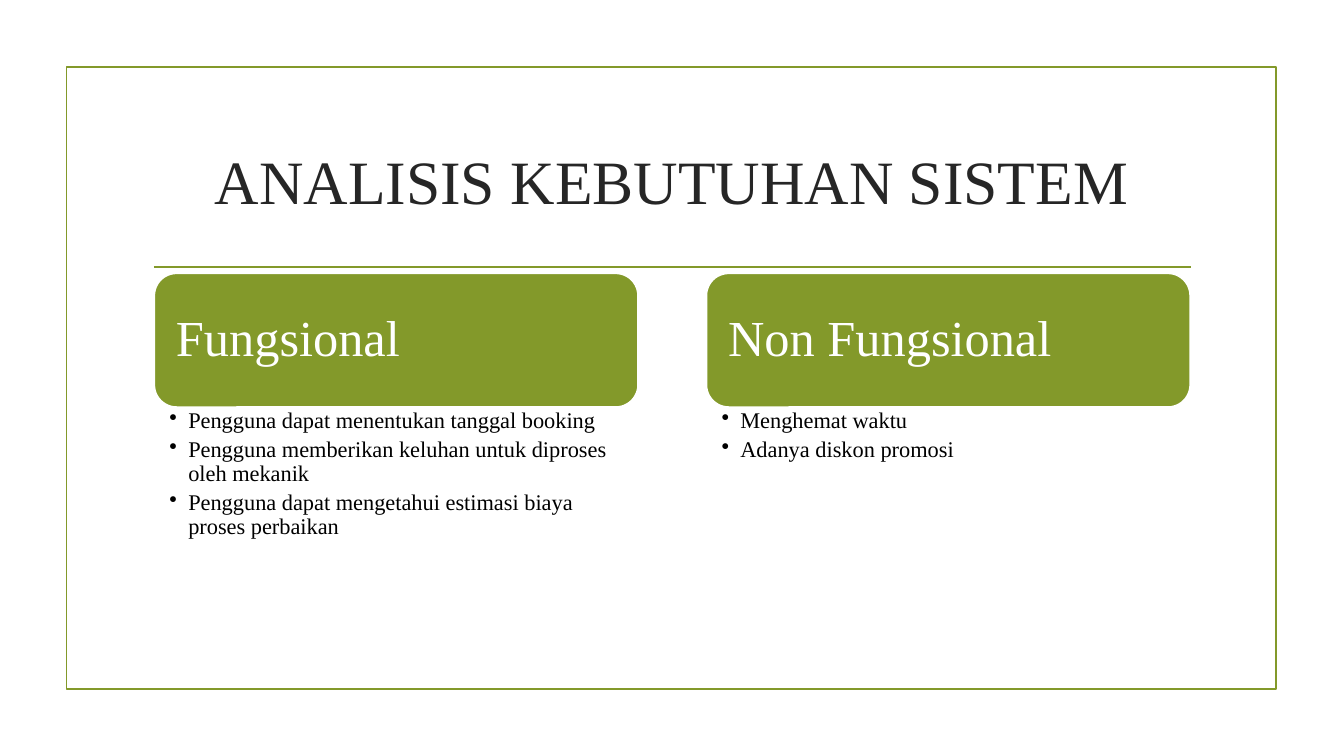
from lxml import etree
from pptx import Presentation
from pptx.dml.color import RGBColor
from pptx.enum import shapes, text
from pptx.oxml import ns
from pptx.util import Pt

GREEN, WHITE, DARK, BLACK = "83992A", "FFFFFF", "262626", "000000"


def color(value):
    return RGBColor.from_string(value)


class SlideBuilder:
    """Draws styled elements on one slide, with lengths in points."""

    font = "Times New Roman"
    line_width = 1.25

    def __init__(self, slide):
        self.slide = slide

    def box(self, kind, left, top, width, height, fill, line):
        shape = self.slide.shapes.add_shape(kind, Pt(left), Pt(top), Pt(width), Pt(height))
        shape.shadow.inherit = False
        if fill:
            shape.fill.solid()
            shape.fill.fore_color.rgb = color(fill)
        else:
            shape.fill.background()
        shape.line.color.rgb = color(line)
        shape.line.width = Pt(self.line_width)
        return shape

    def rule(self, left, right, top):
        connector = self.slide.shapes.add_connector(
            shapes.MSO_CONNECTOR.STRAIGHT, Pt(left), Pt(top), Pt(right), Pt(top))
        connector.line.color.rgb = color(GREEN)
        connector.line.width = Pt(self.line_width)
        etree.SubElement(connector._element.spPr, ns.qn("a:effectLst"))

    def text_box(self, left, top, width, height):
        return self.slide.shapes.add_textbox(Pt(left), Pt(top), Pt(width), Pt(height))

    def add_text(self, shape, lines, size, fill, insets, align=text.PP_ALIGN.LEFT,
                 anchor=text.MSO_ANCHOR.MIDDLE, spacing=0.9, after=0, bullet=False):
        frame = shape.text_frame
        frame.word_wrap = True
        frame.vertical_anchor = anchor
        frame.margin_left, frame.margin_top, frame.margin_right, frame.margin_bottom = map(Pt, insets)
        for index, line in enumerate(lines):
            paragraph = frame.add_paragraph() if index else frame.paragraphs[0]
            paragraph.alignment = align
            paragraph.line_spacing = spacing
            paragraph.space_after = Pt(after)
            if bullet:
                self.add_bullet(paragraph)
            run = paragraph.add_run()
            run.text = line
            run.font.name = self.font
            run.font.size = Pt(size)
            run.font.color.rgb = color(fill)

    def add_bullet(self, paragraph):
        properties = paragraph._p.get_or_add_pPr()
        properties.set("marL", str(Pt(13.5)))
        properties.set("indent", str(Pt(-13.5)))
        etree.SubElement(properties, ns.qn("a:buChar")).set("char", "•")

    def requirement(self, left, heading, items):
        top, width, height = 195.2, 345.6, 95.6
        header = self.box(shapes.MSO_SHAPE.ROUNDED_RECTANGLE, left, top, width, height, GREEN, WHITE)
        self.add_text(header, [heading], 36, WHITE, (10.8, 10.8, 10.8, 10.8))
        body = self.text_box(left, top + height, width, 92.8)
        self.add_text(body, items, 16, BLACK, (10.8, 1.6, 8.8, 1.6),
                      anchor=text.MSO_ANCHOR.TOP, after=3.4, bullet=True)


def main():
    presentation = Presentation()
    presentation.slide_width, presentation.slide_height = Pt(960), Pt(540)
    builder = SlideBuilder(presentation.slides.add_slide(presentation.slide_layouts[6]))

    builder.box(shapes.MSO_SHAPE.RECTANGLE, 47.6, 48, 864, 444, None, GREEN)
    builder.rule(110, 850.4, 190.8)
    title = builder.text_box(102, 77.2, 756, 103)
    builder.add_text(title, ["ANALISIS KEBUTUHAN SISTEM"], 44, DARK, (7.2, 3.6, 7.2, 3.6),
                     align=text.PP_ALIGN.CENTER, spacing=1.0)

    requirements = {
        "Fungsional": [
            "Pengguna dapat menentukan tanggal booking",
            "Pengguna memberikan keluhan untuk diproses oleh mekanik",
            "Pengguna dapat mengetahui estimasi biaya proses perbaikan",
        ],
        "Non Fungsional": ["Menghemat waktu", "Adanya diskon promosi"],
    }
    for index, (heading, items) in enumerate(requirements.items()):
        builder.requirement(110.2 + index * 394.4, heading, items)

    presentation.save("out.pptx")


if __name__ == "__main__":
    main()
